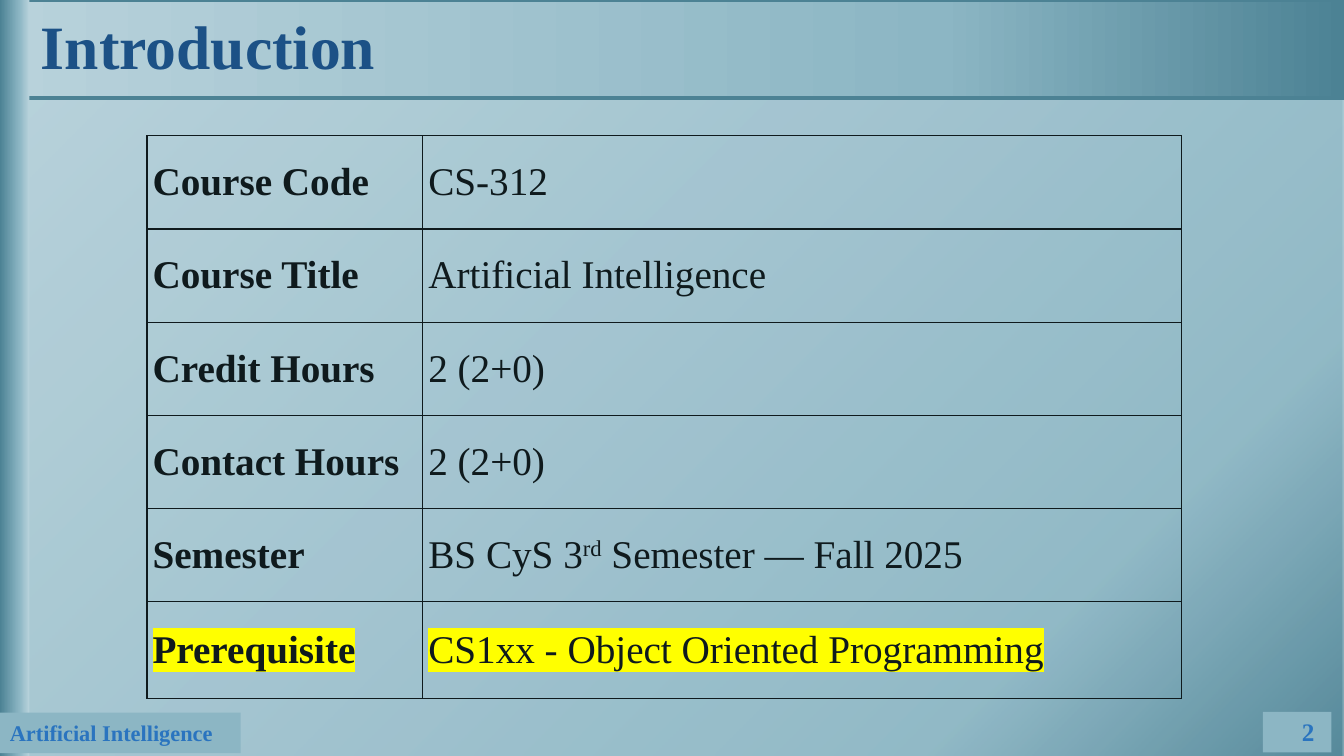
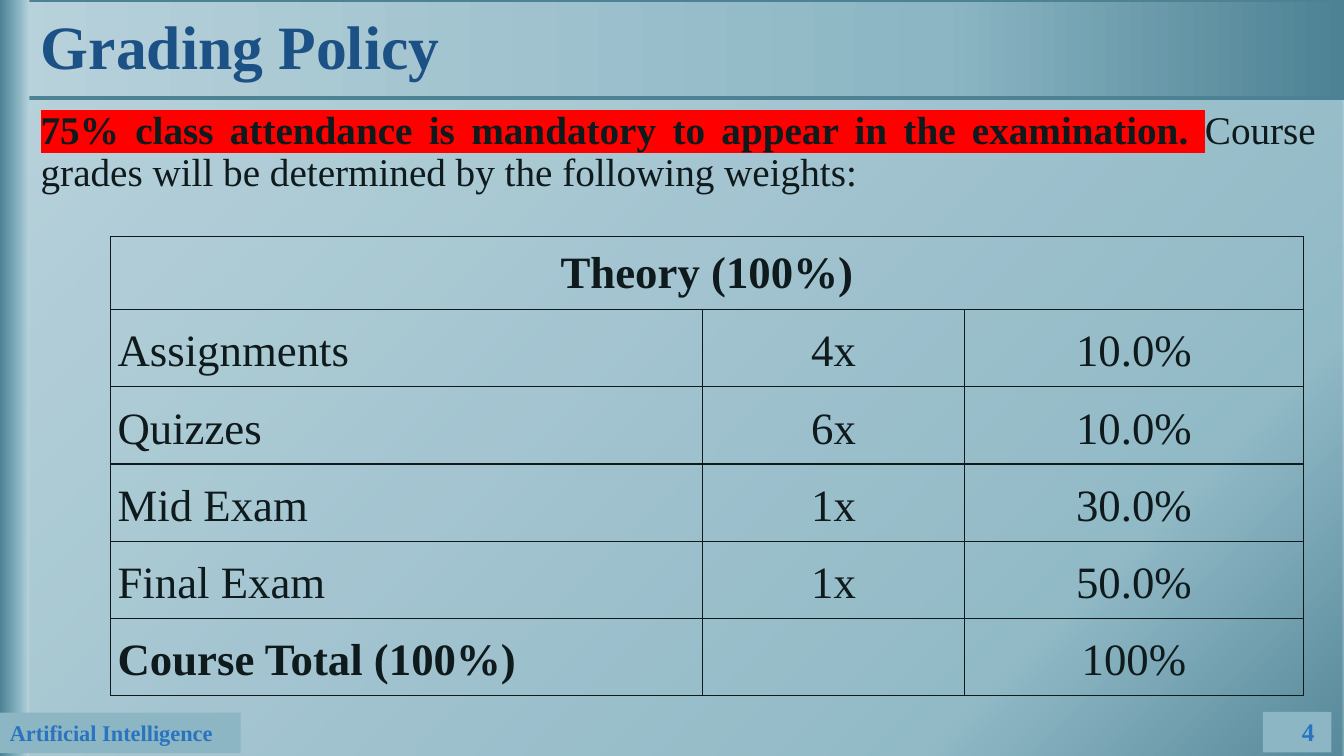
from pptx import Presentation
from pptx.dml.color import RGBColor
from pptx.enum.shapes import MSO_SHAPE
from pptx.enum.text import MSO_ANCHOR, MSO_AUTO_SIZE, PP_ALIGN
from pptx.oxml import parse_xml
from pptx.oxml.ns import nsdecls, qn
from pptx.util import Pt

FONT = "Times New Roman"
WIDE, HIGH = 960, 540
INK, NAVY, BLUE = "0F1A1D", "1C5186", "2A74BF"
DEEP, MID, PALE, BASE = "4C8294", "8CB6C4", "B8D2DB", "D6E5EA"
GOLD, RED = "FFFF00", "FF0000"
LEFT, MIDDLE, RIGHT = PP_ALIGN.LEFT, PP_ALIGN.CENTER, PP_ALIGN.RIGHT

COURSE = [
    ("Course Code", "CS-312"),
    ("Course Title", "Artificial Intelligence"),
    ("Credit Hours", "2 (2+0)"),
    ("Contact Hours", "2 (2+0)"),
    ("Semester", ("BS CyS 3", "rd", " Semester — Fall 2025")),
    ("Prerequisite", "CS1xx - Object Oriented Programming"),
]
WEIGHTS = [
    ("Theory (100%)", "", ""),
    ("Assignments", "4x", "10.0%"),
    ("Quizzes", "6x", "10.0%"),
    ("Mid Exam", "1x", "30.0%"),
    ("Final Exam", "1x", "50.0%"),
    ("Course Total (100%)", "", "100%"),
]


def paint(code):
    return RGBColor.from_string(code)


def style(run, size, color=INK, bold=False, mark=None):
    font = run.font
    font.name, font.size, font.bold = FONT, Pt(size), bold
    font.color.rgb = paint(color)
    if mark:
        fill = run._r.rPr.find(qn("a:solidFill"))
        fill.addnext(parse_xml(
            f'<a:highlight {nsdecls("a")}><a:srgbClr val="{mark}"/></a:highlight>'))


def write(frame, text, size, align=LEFT, **look):
    frame.text = text
    frame.word_wrap = True
    frame.vertical_anchor = MSO_ANCHOR.MIDDLE
    para = frame.paragraphs[0]
    para.alignment = align
    for run in para.runs:
        style(run, size, **look)
    return para


def block(slide, box, color=MID):
    shape = slide.shapes.add_shape(MSO_SHAPE.RECTANGLE, *map(Pt, box))
    shape.shadow.inherit = False
    shape.fill.solid()
    shape.fill.fore_color.rgb = paint(color)
    shape.line.fill.background()
    return shape


def blend(shape, stop, aim, alpha=100):
    stops = "".join(
        f'<a:gs pos="{pos * 1000}"><a:srgbClr val="{code}">'
        f'<a:alpha val="{alpha * 1000}"/></a:srgbClr></a:gs>'
        for pos, code in ((0, DEEP), (stop, MID), (100, PALE)))
    spot = shape.element.spPr
    spot.replace(spot.find(qn("a:solidFill")), parse_xml(
        f'<a:gradFill {nsdecls("a")} rotWithShape="1">'
        f'<a:gsLst>{stops}</a:gsLst>{aim}</a:gradFill>'))


def frame(deck, title, page):
    slide = deck.slides.add_slide(deck.slide_layouts[5])
    slide.background.fill.solid()
    slide.background.fill.fore_color.rgb = paint(BASE)

    glow = ('<a:path path="circle">'
            '<a:fillToRect l="100000" t="100000"/></a:path>')
    blend(block(slide, (0, 0, WIDE, HIGH)), 20, glow, 92)
    top = block(slide, (0, 0, WIDE, 70))
    blend(top, 30, '<a:lin ang="10800000" scaled="0"/>')
    top.line.color.rgb = paint(DEEP)
    top.line.width = Pt(2.25)
    block(slide, (902, 508.5, 49, 29))
    blend(block(slide, (0, 0, 21, HIGH)), 66, '<a:lin ang="0" scaled="0"/>')
    foot = block(slide, (0, 509, 172, 29))
    write(foot.text_frame, "Artificial Intelligence", 16, color=BLUE, bold=True)

    head = slide.shapes.title
    head.left, head.top, head.width, head.height = map(Pt, (22, 3, 896, 65))
    write(head.text_frame, title, 44, color=NAVY, bold=True).line_spacing = 0.9
    head.text_frame.auto_size = MSO_AUTO_SIZE.NONE
    slide.shapes.element.append(head.element)

    note = slide.shapes.add_textbox(*map(Pt, (813, 508, 133, 29)))
    write(note.text_frame, str(page), 18, RIGHT, color=BLUE, bold=True)
    return slide


def edge(cell):
    cell.fill.background()
    props = cell._tc.get_or_add_tcPr()
    for spot, side in enumerate("LRTB"):
        props.insert(spot, parse_xml(
            f'<a:ln{side} {nsdecls("a")} w="12700"><a:solidFill>'
            f'<a:srgbClr val="{INK}"/></a:solidFill></a:ln{side}>'))


def grid(slide, left, top, cols, rows, inset):
    box = map(Pt, (left, top, sum(cols), sum(rows)))
    table = slide.shapes.add_table(len(rows), len(cols), *box).table
    table.first_row = table.horz_banding = False
    for col, width in zip(table.columns, cols):
        col.width = Pt(width)
    for row, height in zip(table.rows, rows):
        row.height = Pt(height)
    for cell in table.iter_cells():
        edge(cell)
        cell.vertical_anchor = MSO_ANCHOR.MIDDLE
        cell.margin_left = cell.margin_right = Pt(inset)
        cell.margin_top = cell.margin_bottom = 0
    return table


def fill(cell, text, size, align=LEFT, **look):
    parts = (text,) if isinstance(text, str) else text
    para = cell.text_frame.paragraphs[0]
    para.alignment = align
    for part in parts:
        run = para.add_run()
        run.text = part
        style(run, size, **look)
    return para


def course(slide, left, top):
    table = grid(slide, left, top, (197, 542), [66.6] * 5 + [69], 4)
    for row, texts in enumerate(COURSE):
        mark = GOLD if texts[0] == "Prerequisite" else None
        for col, text in enumerate(texts):
            para = fill(table.cell(row, col), text, 28,
                        bold=col == 0, mark=mark)
            para.space_before = Pt(4)
            if len(para.runs) > 1:
                para.runs[1].font._element.set("baseline", "30000")


def policy(slide, left, top, width, height):
    box = slide.shapes.add_textbox(*map(Pt, (left, top, width, height)))
    para = write(box.text_frame,
                 "75% class attendance is mandatory to appear in the examination. ",
                 28, PP_ALIGN.JUSTIFY, bold=True, mark=RED)
    box.text_frame.vertical_anchor = MSO_ANCHOR.TOP
    para.line_spacing = 0.9
    rest = para.add_run()
    rest.text = "Course grades will be determined by the following weights:"
    style(rest, 28)


def weights(slide, left, top):
    table = grid(slide, left, top, (423, 187, 242), [52] + [55.2] * 5, 5)
    table.cell(0, 0).merge(table.cell(0, 2))
    for row, texts in enumerate(WEIGHTS):
        for col, text in enumerate(texts):
            if text:
                align = MIDDLE if col or not row else LEFT
                para = fill(table.cell(row, col), text, 32, align,
                            bold=col == 0 and row in (0, len(WEIGHTS) - 1))
                para.line_spacing = 1.15 if row else 1


def main():
    deck = Presentation()
    deck.slide_width, deck.slide_height = Pt(WIDE), Pt(HIGH)
    course(frame(deck, "Introduction", 2), 105, 97)
    slide = frame(deck, "Grading Policy", 4)
    policy(slide, 22, 75.5, 925, 68)
    weights(slide, 79, 169)
    deck.save("out.pptx")


if __name__ == "__main__":
    main()
